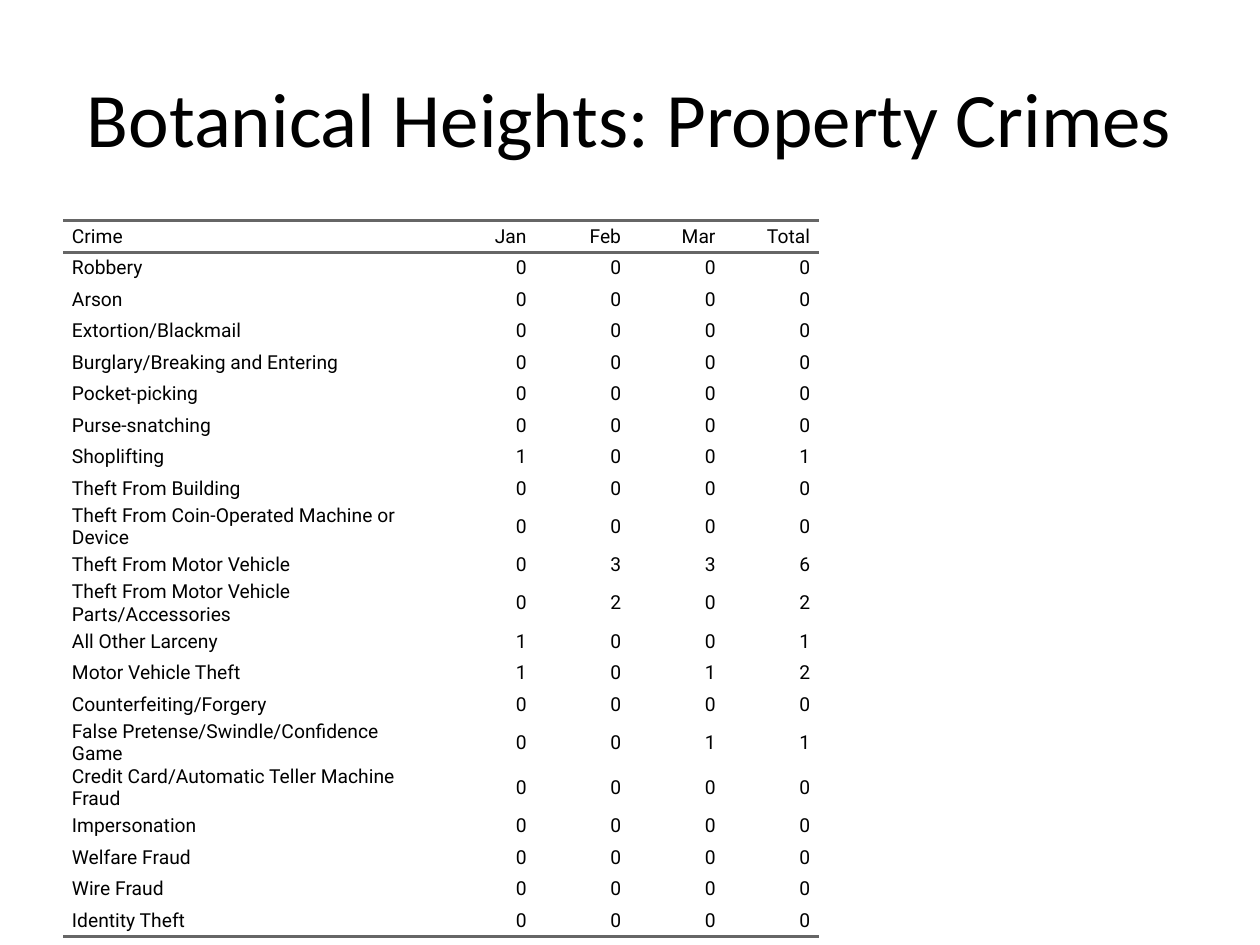
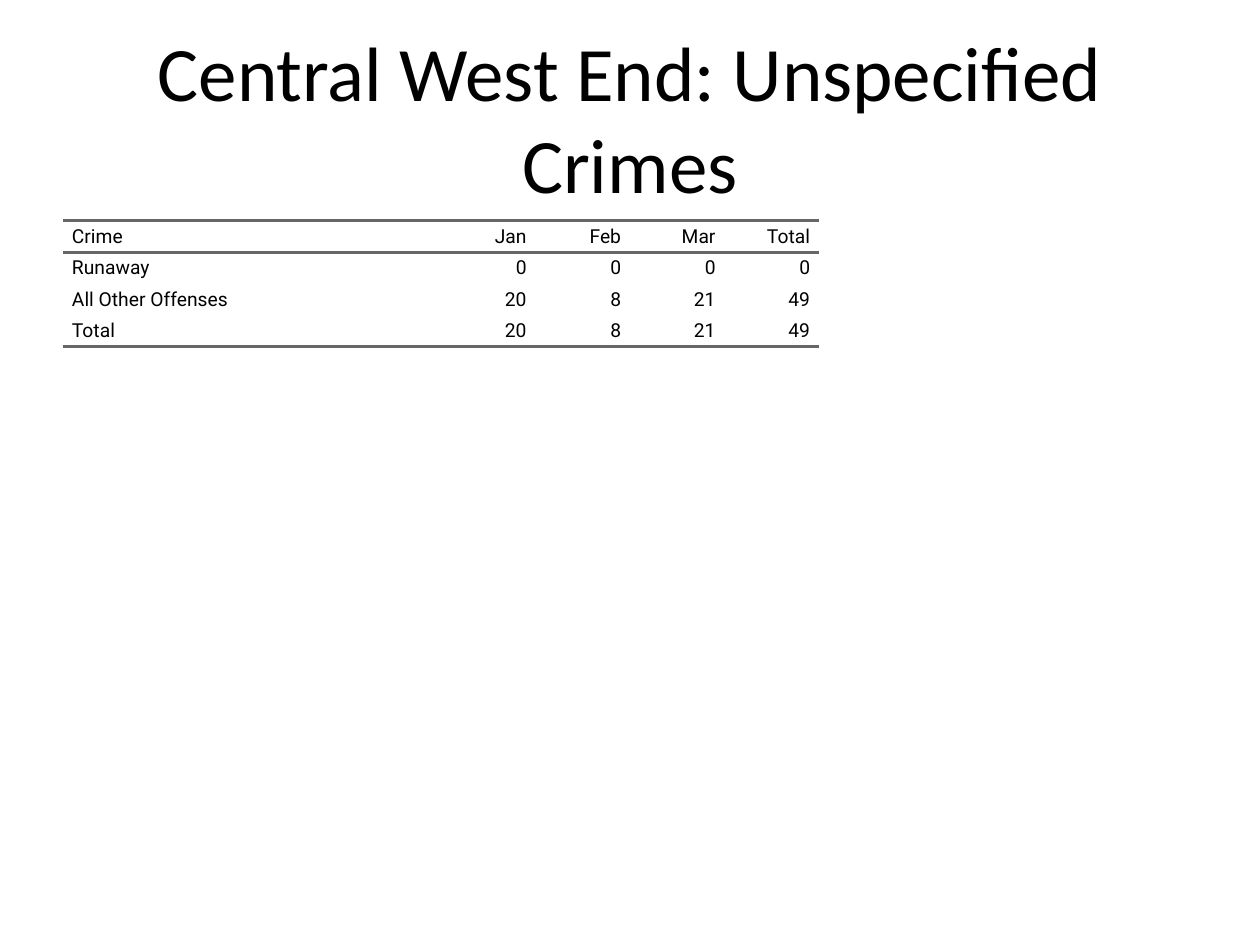
from dataclasses import dataclass

from lxml.etree import SubElement
from pptx import Presentation
from pptx.dml.color import RGBColor
from pptx.enum.text import MSO_ANCHOR, MSO_AUTO_SIZE, PP_ALIGN
from pptx.oxml.ns import qn
from pptx.util import Cm, Pt


@dataclass(frozen=True)
class Theme:
    ink: str = "000000"
    rule: str = "666666"
    rule_width: int = Pt(2)
    title_font: str = "Calibri"
    title_size: int = Pt(44)
    table_font: str = "Roboto"
    table_size: int = Pt(11)
    plain_table_style: str = "{2D5ABB26-0587-4C30-8999-92F81FD0307C}"


THEME = Theme()
TITLE_ONLY = 5
LEFT = Cm(1.27)
TITLE_PLACE = {"left": LEFT, "top": Cm(0.76), "width": Cm(22.86), "height": Cm(3.18)}
TABLE_TOP = Cm(4.45)
ROW_HEIGHT = Cm(0.635)
CRIME_WIDTH, COUNT_WIDTH = Cm(7.62), Cm(1.905)
CELL_FORMAT = {
    "margin_left": Cm(0.18),
    "margin_right": Cm(0.18),
    "margin_top": 0,
    "margin_bottom": 0,
    "vertical_anchor": MSO_ANCHOR.MIDDLE,
}
HEADINGS = ("Crime", "Jan", "Feb", "Mar", "Total")

PROPERTY_CRIMES = [
    ("Robbery", 0, 0, 0),
    ("Arson", 0, 0, 0),
    ("Extortion/Blackmail", 0, 0, 0),
    ("Burglary/Breaking and Entering", 0, 0, 0),
    ("Pocket-picking", 0, 0, 0),
    ("Purse-snatching", 0, 0, 0),
    ("Shoplifting", 1, 0, 0),
    ("Theft From Building", 0, 0, 0),
    ("Theft From Coin-Operated Machine or Device", 0, 0, 0),
    ("Theft From Motor Vehicle", 0, 3, 3),
    ("Theft From Motor Vehicle Parts/Accessories", 0, 2, 0),
    ("All Other Larceny", 1, 0, 0),
    ("Motor Vehicle Theft", 1, 0, 1),
    ("Counterfeiting/Forgery", 0, 0, 0),
    ("False Pretense/Swindle/Confidence Game", 0, 0, 1),
    ("Credit Card/Automatic Teller Machine Fraud", 0, 0, 0),
    ("Impersonation", 0, 0, 0),
    ("Welfare Fraud", 0, 0, 0),
    ("Wire Fraud", 0, 0, 0),
    ("Identity Theft", 0, 0, 0),
]
UNSPECIFIED_CRIMES = [
    ("Runaway", 0, 0, 0),
    ("All Other Offenses", 20, 8, 21),
    ("Total", 20, 8, 21),
]


def apply_format(target, values):
    for attribute, value in values.items():
        setattr(target, attribute, value)


def style_paragraph(paragraph, font_name, size, alignment):
    paragraph.alignment = alignment
    apply_format(paragraph.font, {"name": font_name, "size": size})
    paragraph.font.color.rgb = RGBColor.from_string(THEME.ink)


def add_title(slide, wording):
    title = slide.shapes.title
    apply_format(title, TITLE_PLACE)
    title.text_frame.text = wording
    apply_format(title.text_frame, {
        "word_wrap": True,
        "auto_size": MSO_AUTO_SIZE.NONE,
        "vertical_anchor": MSO_ANCHOR.MIDDLE,
    })
    style_paragraph(title.text_frame.paragraphs[0], THEME.title_font,
                    THEME.title_size, PP_ALIGN.CENTER)


def add_rule(cell, side):
    rule = SubElement(cell._tc.get_or_add_tcPr(), qn(f"a:ln{side}"),
                      w=str(THEME.rule_width))
    fill = SubElement(rule, qn("a:solidFill"))
    SubElement(fill, qn("a:srgbClr"), val=THEME.rule)


def fill_cell(cell, entry, alignment, rule_sides):
    cell.text = str(entry)
    apply_format(cell, CELL_FORMAT)
    style_paragraph(cell.text_frame.paragraphs[0], THEME.table_font,
                    THEME.table_size, alignment)
    for side in rule_sides:
        add_rule(cell, side)
    cell.fill.background()


def add_crime_table(slide, crimes):
    records = [HEADINGS] + [(crime, *counts, sum(counts)) for crime, *counts in crimes]
    widths = [CRIME_WIDTH] + [COUNT_WIDTH] * (len(HEADINGS) - 1)
    table = slide.shapes.add_table(len(records), len(HEADINGS), LEFT, TABLE_TOP,
                                   sum(widths), ROW_HEIGHT * len(records)).table
    apply_format(table, {"first_row": False, "horz_banding": False})
    table._tbl.tblPr.find(qn("a:tableStyleId")).text = THEME.plain_table_style
    for column, width in zip(table.columns, widths):
        column.width = width
    rules = {0: "TB", len(records) - 1: "B"}
    for row, record in enumerate(records):
        table.rows[row].height = ROW_HEIGHT
        for column, entry in enumerate(record):
            alignment = PP_ALIGN.RIGHT if column else PP_ALIGN.LEFT
            fill_cell(table.cell(row, column), entry, alignment, rules.get(row, ""))


def add_crime_slide(deck, wording, crimes):
    slide = deck.slides.add_slide(deck.slide_layouts[TITLE_ONLY])
    add_title(slide, wording)
    add_crime_table(slide, crimes)


def main():
    deck = Presentation()
    apply_format(deck, {"slide_width": Cm(25.4), "slide_height": Cm(19.05)})
    add_crime_slide(deck, "Botanical Heights: Property Crimes", PROPERTY_CRIMES)
    add_crime_slide(deck, "Central West End: Unspecified Crimes", UNSPECIFIED_CRIMES)
    deck.save("out.pptx")


if __name__ == "__main__":
    main()
